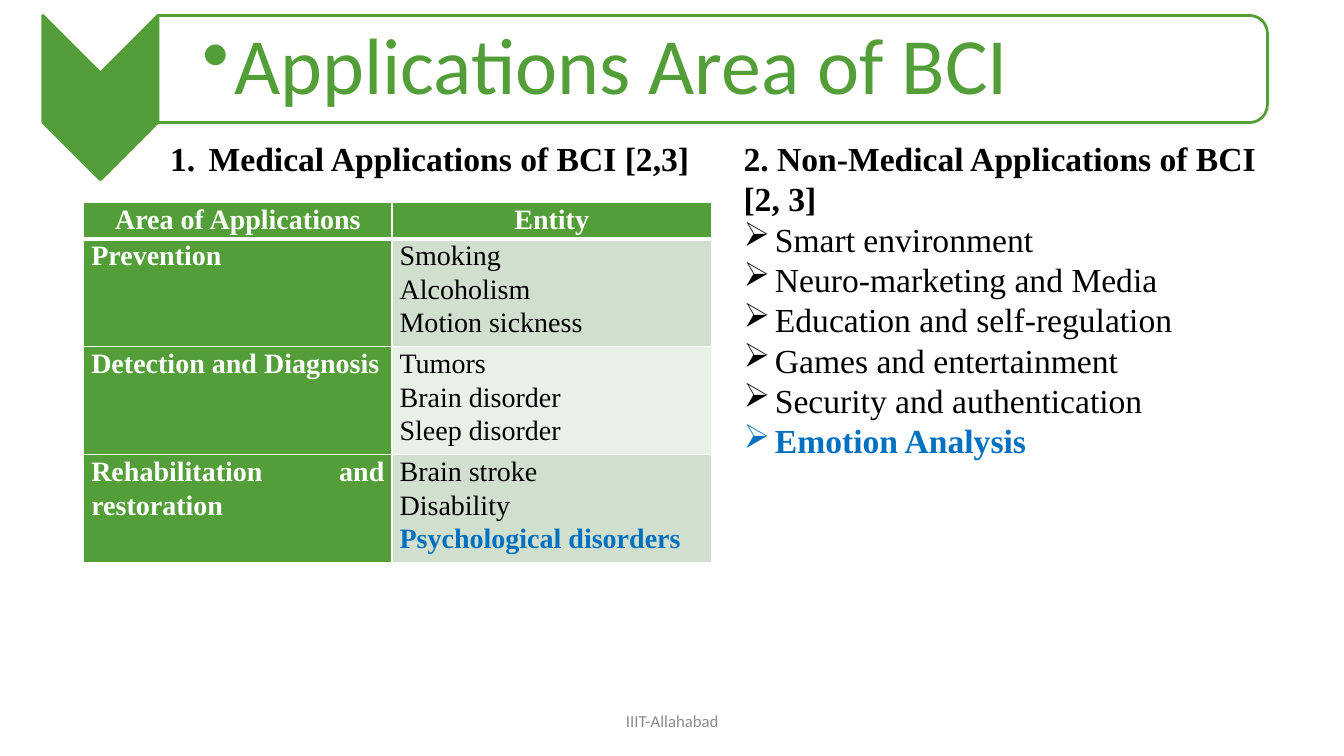
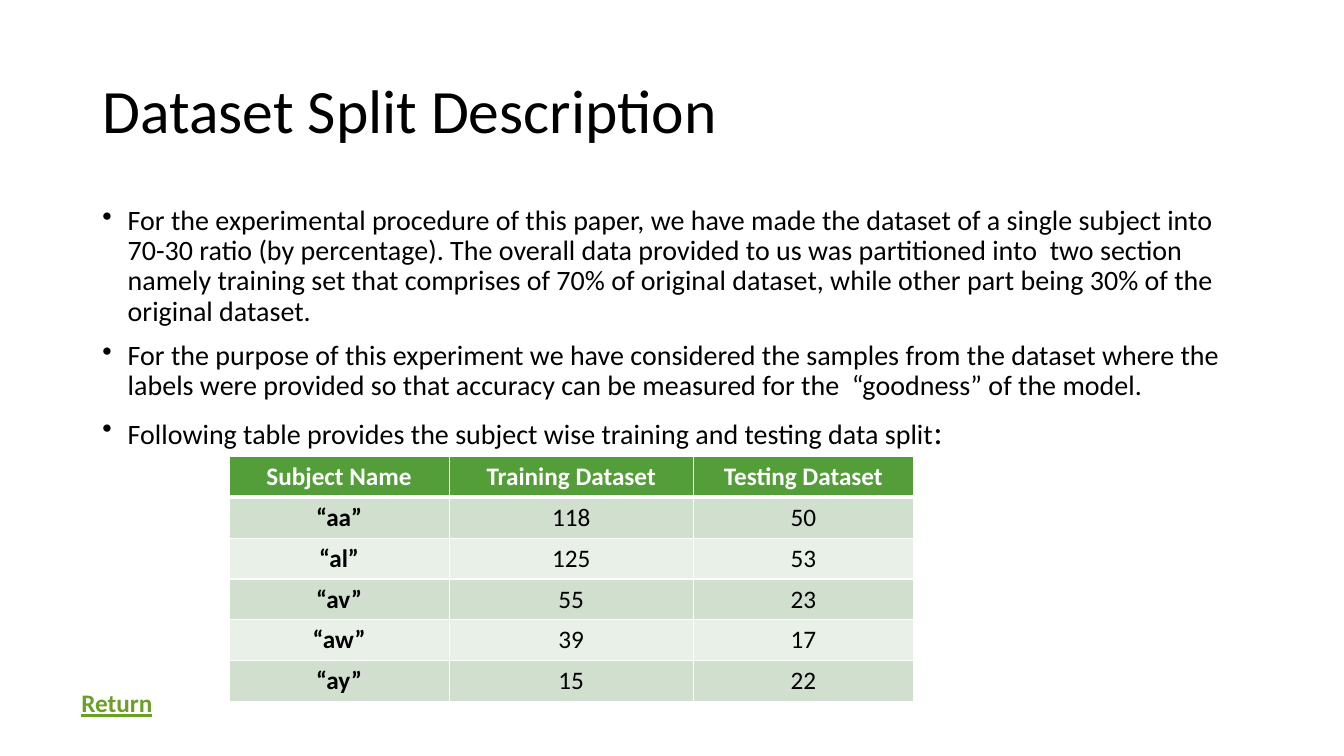
from lxml.etree import SubElement
from pptx import Presentation
from pptx.dml.color import RGBColor as RGB
from pptx.enum.shapes import MSO_SHAPE as SHAPE
from pptx.enum.text import MSO_ANCHOR as ANCHOR, MSO_AUTO_SIZE as FIT, PP_ALIGN as ALIGN
from pptx.oxml.ns import qn
from pptx.util import Cm, Pt

# Shared look
HUES = {
    "green": "549E39", "pale": "D1DFCE", "mist": "E9F0E8", "white": "FFFFFF",
    "black": "000000", "blue": "0070C0", "gray": "8C8C8C", "link": "6B9F25",
}
SANS, SERIF = "Calibri", "Times New Roman"


def hue(name):
    return RGB.from_string(HUES[name])


def style(par, size, color="black", bold=False, face=SANS):
    for run in par.runs:
        font = run.font
        font.name, font.size, font.bold = face, Pt(size), bold
        font.color.rgb = hue(color)


def write(frame, text, size, color="black", bold=False, face=SANS,
          align=ALIGN.LEFT, space=1.0):
    frame.text = text
    for par in frame.paragraphs:
        par.alignment, par.line_spacing = align, space
        style(par, size, color, bold, face)


def bullet(par, mark, indent):
    """Hang a bullet; the mark "1." numbers the paragraph."""
    props = par._p.get_or_add_pPr()
    props.set("marL", str(Cm(indent)))
    props.set("indent", str(-Cm(indent)))
    if mark == "1.":
        SubElement(props, qn("a:buAutoNum"), type="arabicPeriod")
    else:
        SubElement(props, qn("a:buChar"), char=mark)


def label(slide, box, text, size, anchor=ANCHOR.TOP, **look):
    frame = slide.shapes.add_textbox(*map(Cm, box)).text_frame
    frame.word_wrap, frame.vertical_anchor = True, anchor
    write(frame, text, size, **look)
    return frame


def head(slide, box, text, size, color):
    title = slide.shapes.title
    title.left, title.top, title.width, title.height = map(Cm, box)
    frame = title.text_frame
    frame.word_wrap, frame.auto_size = True, FIT.NONE
    frame.vertical_anchor = ANCHOR.MIDDLE
    write(frame, text, size, color, space=0.9)
    return title


# Tables
def edge(cell, first):
    props = cell._tc.get_or_add_tcPr()
    for side in ("lnL", "lnR", "lnT", "lnB"):
        thick = 3 if first and side == "lnB" else 1
        line = SubElement(props, qn("a:" + side), w=str(Pt(thick)))
        fill = SubElement(line, qn("a:solidFill"))
        SubElement(fill, qn("a:srgbClr"), val=HUES["white"])


def grid(slide, spot, cols, rows, data, size, side="black", pad=None,
         align=ALIGN.CENTER, **look):
    """Green header, striped body; side is the text colour of column one."""
    table = slide.shapes.add_table(
        len(rows), len(cols), *map(Cm, (*spot, sum(cols), sum(rows)))).table
    for col, wide in zip(table.columns, cols):
        col.width = Cm(wide)
    for r, (row, tall) in enumerate(zip(table.rows, rows)):
        row.height = Cm(tall)
        for c, cell in enumerate(row.cells):
            bold = r == 0 or c == 0
            white = r == 0 or (c == 0 and side == "white")
            if pad is not None:
                cell.margin_left = cell.margin_right = Cm(pad)
                cell.margin_top = cell.margin_bottom = 0
            edge(cell, r == 0)
            cell.fill.solid()
            cell.fill.fore_color.rgb = hue(
                "green" if white else "pale" if r % 2 else "mist")
            write(cell.text_frame, data[r][c], size,
                  "white" if white else "black", bold,
                  align=ALIGN.CENTER if r == 0 else align, **look)
    return table


# Banner: chevron at the left, rounded band with the title
def turned(slide, kind, box, fill):
    """Add a shape rotated a quarter turn that covers the box."""
    x, y, w, h = box
    shift = (w - h) / 2
    shape = slide.shapes.add_shape(
        kind, *map(Cm, (x + shift, y - shift, h, w)))
    shape.rotation = 90
    shape.shadow.inherit = False
    shape.fill.solid()
    shape.fill.fore_color.rgb = hue(fill)
    shape.line.color.rgb = hue("green")
    shape.line.width = Pt(2)


def banner(slide, box, text):
    x, y, w, h = box
    wide, band = 2.9, 2.7
    turned(slide, SHAPE.CHEVRON, (x, y, wide, h), "green")
    turned(slide, SHAPE.ROUND_2_SAME_RECTANGLE,
           (x + wide, y, w - wide, band), "white")
    title = head(slide, (x + wide, y + 0.13, w - wide - 0.13, band - 0.26),
                 text, 57, "green")
    title.text_frame.margin_left = Cm(1.13)
    bullet(title.text_frame.paragraphs[0], "•", 0.79)
    # Lift the title above the band
    slide.shapes._spTree.append(title._element)


# Slide 1
def medical(slide, box):
    x, y, w, h = box
    frame = label(slide, (x + 1.93, y, w, 1.3),
                  "Medical Applications of BCI [2,3]", 24,
                  bold=True, face=SERIF)
    bullet(frame.paragraphs[0], "1.", 0.97)
    top, first = 1.76, 0.9
    tall = (h - top - first) / 3
    table = grid(slide, (x, y + top), (7.77, 8.05), (first, *[tall] * 3), (
        ("Area of Applications", "Entity"),
        ("Prevention", "Smoking\nAlcoholism\nMotion sickness"),
        ("Detection and Diagnosis", "Tumors\nBrain disorder\nSleep disorder"),
        ("Rehabilitation and restoration",
         "Brain stroke\nDisability\nPsychological disorders"),
    ), 20, side="white", pad=0.19, align=ALIGN.JUSTIFY,
        face=SERIF, space=1.07)
    style(table.cell(3, 1).text_frame.paragraphs[-1], 20, "blue", True, SERIF)


def other(slide, box):
    frame = label(slide, box, "\n".join((
        "2. Non-Medical Applications of BCI [2, 3]",
        "Smart environment",
        "Neuro-marketing and Media",
        "Education and self-regulation",
        "Games and entertainment",
        "Security and authentication",
        "Emotion Analysis")), 24, face=SERIF)
    first, *items = frame.paragraphs
    style(first, 24, bold=True, face=SERIF)
    for item in items:
        bullet(item, "➢", 0.79)
    style(items[-1], 24, "blue", True, SERIF)


def areas(slide):
    banner(slide, (1.08, 0.39, 30.86, 4.14), "Applications Area of BCI")
    medical(slide, (2.11, 3.35, 16.8, 10.82))
    other(slide, (18.49, 3.35, 14.33, 8.46))
    label(slide, (11.23, 17.65, 11.43, 1.02), "IIIT-Allahabad", 12,
          ANCHOR.MIDDLE, color="gray", align=ALIGN.CENTER)


# Slide 2
def points(slide, box):
    frame = label(slide, box, "\n".join((
        "For the experimental procedure of this paper, we have made the "
        "dataset of a single subject into 70-30 ratio (by percentage). The "
        "overall data provided to us was partitioned into  two section "
        "namely training set that comprises of 70% of original dataset, "
        "while other part being 30% of the original dataset.",
        "For the purpose of this experiment we have considered the samples "
        "from the dataset where the labels were provided so that accuracy "
        "can be measured for the  “goodness” of the model.",
        "Following table provides the subject wise training and testing "
        "data split")), 20, space=0.9)
    for i, par in enumerate(frame.paragraphs):
        par.space_before = Pt(10 if i else 0)
        bullet(par, "•", 0.64)
    colon = par.add_run()
    colon.text = ":"
    colon.font.name, colon.font.size = SANS, Pt(24)
    colon.font.color.rgb = hue("black")


def split(slide):
    x, w = 2.33, 29.21
    head(slide, (x, 1.01, w, 3.68), "Dataset Split Description", 44, "black")
    points(slide, (x, 5.07, w, 12.09))
    grid(slide, (5.77, 11.5), (5.55, 6.15, 5.55), [1.03] * 6, (
        ("Subject Name", "Training Dataset", "Testing Dataset"),
        ("“aa”", "118", "50"),
        ("“al”", "125", "53"),
        ("“av”", "55", "23"),
        ("“aw”", "39", "17"),
        ("“ay”", "15", "22"),
    ), 18)
    back = label(slide, (1.8, 17.2, 2.6, 1.03), "Return", 18,
                 color="link", bold=True)
    back.paragraphs[0].runs[0].font.underline = True


def main():
    deck = Presentation()
    deck.slide_width, deck.slide_height = Cm(33.87), Cm(19.05)
    for build in (areas, split):
        build(deck.slides.add_slide(deck.slide_layouts[5]))
    deck.save("out.pptx")


if __name__ == "__main__":
    main()
